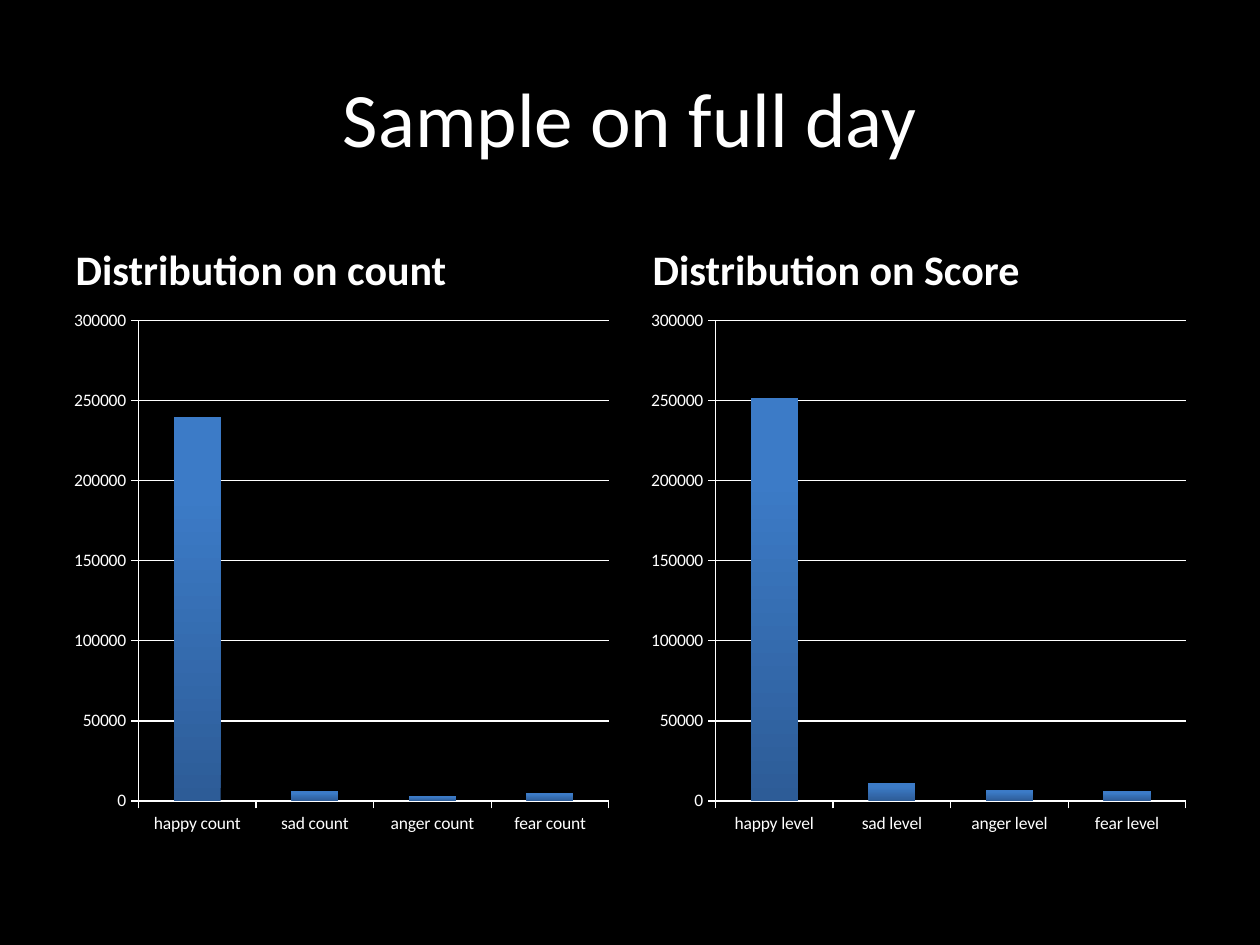
from pptx import Presentation
from pptx.chart.data import CategoryChartData
from pptx.dml.color import RGBColor
from pptx.enum.chart import XL_CHART_TYPE, XL_TICK_MARK
from pptx.enum.text import MSO_ANCHOR, PP_ALIGN
from pptx.util import Emu, Pt

COLUMN = XL_CHART_TYPE.COLUMN_CLUSTERED
OUT = XL_TICK_MARK.OUTSIDE
MIDDLE, BOTTOM = MSO_ANCHOR.MIDDLE, MSO_ANCHOR.BOTTOM
LEFT, CENTER = PP_ALIGN.LEFT, PP_ALIGN.CENTER

SCALE = 914400 / 126
FONT = "Calibri"
COLORS = {"back": "000000", "text": "FFFFFF", "low": "2D5C97", "high": "3C7BC7"}

WIDTH, HEIGHT = 1260, 945
MARGIN, GAP = 63, 20
HALF = (WIDTH - 2 * MARGIN - GAP) // 2
TOP, HEAD, PLOT = 212, 88, 544

PANELS = [
    ("Distribution on count", "count", (240000, 6000, 3000, 5000)),
    ("Distribution on Score", "level", (252000, 11000, 7000, 6000)),
]
MOODS = ("happy", "sad", "anger", "fear")


def px(n):
    return Emu(round(n * SCALE))


def color(name):
    return RGBColor.from_string(COLORS[name])


def style(font, size, bold=False):
    font.name = FONT
    font.size = Pt(size)
    font.bold = bold
    font.color.rgb = color("text")


def label(holder, box, text, size, anchor, align, bold=False):
    """Move a placeholder to the box and give it one line of text."""
    holder.left, holder.top, holder.width, holder.height = map(px, box)
    frame = holder.text_frame
    frame.vertical_anchor = anchor
    para = frame.paragraphs[0]
    para.alignment = align
    run = para.add_run()
    run.text = text
    style(run.font, size, bold)


def line(fmt):
    fmt.line.color.rgb = color("text")
    fmt.line.width = Pt(0.75)


def columns(slide, box, unit, values):
    """Draw one column chart of the moods in the box."""
    data = CategoryChartData()
    data.categories = [f"{mood} {unit}" for mood in MOODS]
    data.add_series("Series 1", values)
    chart = slide.shapes.add_chart(COLUMN, *map(px, box), data).chart
    chart.has_legend = False
    chart.has_title = False
    style(chart.font, 10)

    for axis in (chart.category_axis, chart.value_axis):
        axis.major_tick_mark = OUT
        line(axis.format)
    scale = chart.value_axis
    scale.minimum_scale, scale.maximum_scale = 0, 300000
    scale.major_unit = 50000
    scale.has_major_gridlines = True
    line(scale.major_gridlines.format)

    plot = chart.plots[0]
    plot.gap_width = 150
    plot.vary_by_categories = False
    fill = plot.series[0].format.fill
    fill.gradient()
    fill.gradient_angle = 90
    for stop, name, place in zip(fill.gradient_stops, ("low", "high"), (0, 0.8)):
        stop.color.rgb = color(name)
        stop.position = place


def panel(slide, holder, box, head, unit, values):
    left, top, width, height = box
    label(holder, (left, top, width, HEAD), head, 24, BOTTOM, LEFT, bold=True)
    columns(slide, (left, top + HEAD, width, height - HEAD), unit, values)


def main():
    deck = Presentation()
    deck.slide_width, deck.slide_height = px(WIDTH), px(HEIGHT)
    slide = deck.slides.add_slide(deck.slide_layouts.get_by_name("Comparison"))
    slide.background.fill.solid()
    slide.background.fill.fore_color.rgb = color("back")

    title, *rest = slide.placeholders
    label(title, (MARGIN, 38, WIDTH - 2 * MARGIN, 157),
          "Sample on full day", 44, MIDDLE, CENTER)
    heads, spare = rest[0:4:2], rest[1:]
    for holder in spare:
        if holder not in heads:
            holder.element.getparent().remove(holder.element)
    for i, (holder, parts) in enumerate(zip(heads, PANELS)):
        box = (MARGIN + i * (HALF + GAP), TOP, HALF, HEAD + PLOT)
        panel(slide, holder, box, *parts)

    deck.save("out.pptx")


if __name__ == "__main__":
    main()
